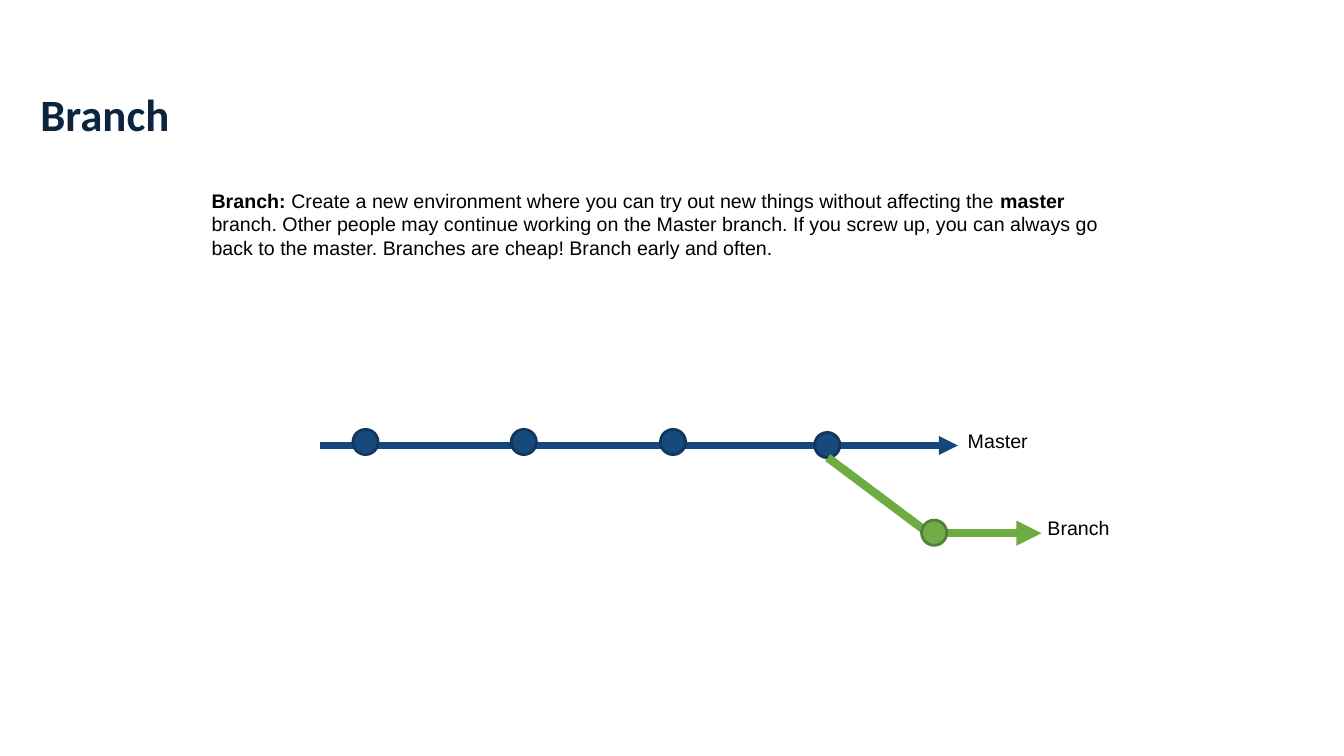
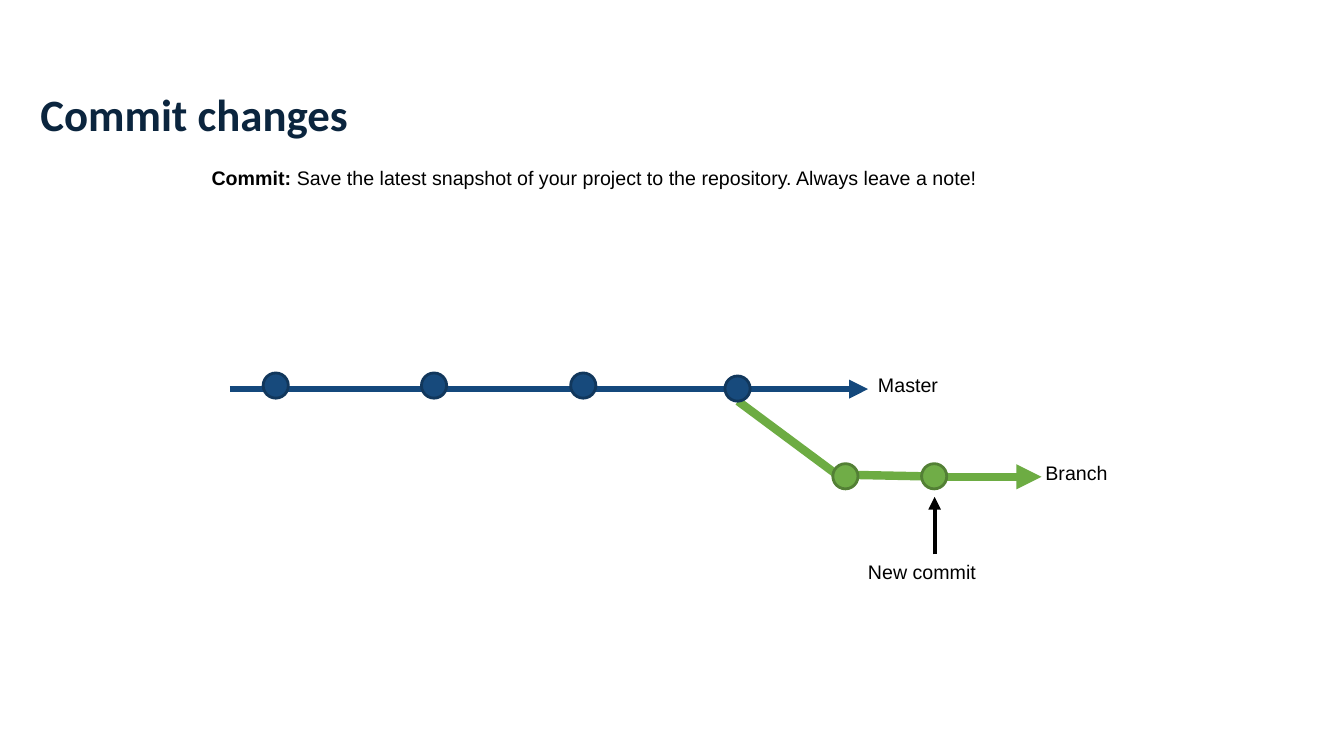
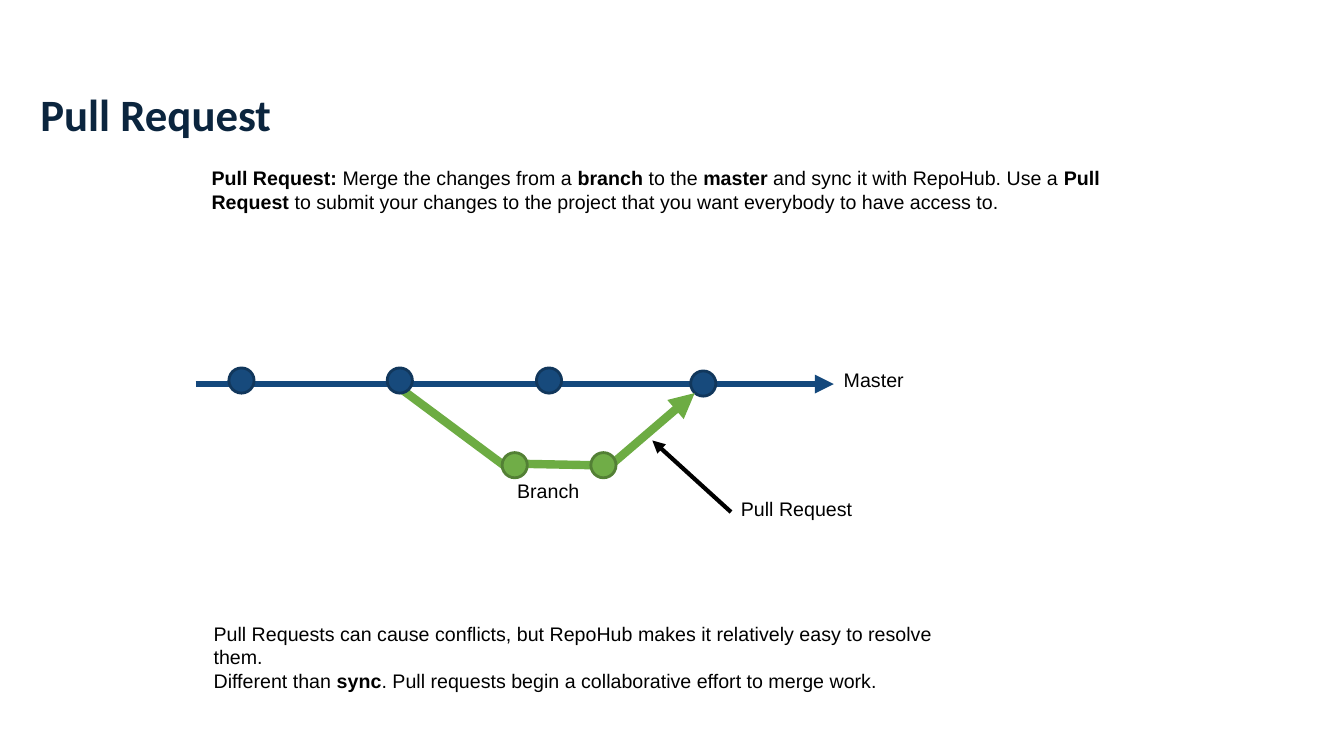
from dataclasses import dataclass
from typing import NamedTuple

from pptx import Presentation
from pptx.dml.color import RGBColor
from pptx.enum.shapes import MSO_CONNECTOR, MSO_SHAPE
from pptx.enum.text import MSO_ANCHOR, MSO_AUTO_SIZE, PP_ALIGN
from pptx.oxml.ns import qn
from pptx.util import Emu, Pt

# Shared look
OVAL = MSO_SHAPE.OVAL
STRAIGHT = MSO_CONNECTOR.STRAIGHT
LEFT = PP_ALIGN.LEFT
BOTTOM = MSO_ANCHOR.BOTTOM
GROW, FIXED = MSO_AUTO_SIZE.SHAPE_TO_FIT_TEXT, MSO_AUTO_SIZE.NONE

SCALE = 9144  # EMU per px, 100 px to the inch
COLORS = {
    "title": "0B253E",
    "text": "000000",
    "master": "14487C",
    "master_dot": "174A7C",
    "master_rim": "11375C",
    "branch": "6DAC43",
    "branch_dot": "70AD47",
    "branch_rim": "538035",
    "note": "000000",
}
WIDTHS = {"master": 4.5, "branch": 6, "note": 3}
DOT = 25

# Master track, as offsets from the start of its line
TRACK = 633
STOPS = ((33, -16), (190, -16), (338, -16), (491, -13))
TAG = (633, -21, 80, 34)


class Line(NamedTuple):
    x1: int
    y1: int
    x2: int
    y2: int
    kind: str = "branch"
    arrow: bool = False


class Label(NamedTuple):
    box: tuple[int, int, int, int]
    lines: tuple[str, ...]  # ** switches bold on and off
    wrap: bool = False


@dataclass(frozen=True)
class Scene:
    title: str
    start: tuple[int, int]
    labels: tuple[Label, ...]
    commits: tuple[tuple[int, int], ...]
    back: tuple[Line, ...] = ()
    front: tuple[Line, ...] = ()


SCENES = (
    Scene(
        "Branch",
        start=(317, 442),
        labels=(
            Label((200, 182, 908, 81), (
                "**Branch: **Create a new environment where you can try out new "
                "things without affecting the **master **branch. Other people may "
                "continue working on the Master branch. If you screw up, you can "
                "always go back to the master. Branches are cheap! Branch early "
                "and often.",
            ), wrap=True),
            Label((1029, 507, 82, 34), ("Branch",)),
        ),
        commits=((914, 516),),
        front=(
            Line(821, 454, 933, 538),
            Line(933, 529, 1033, 529, arrow=True),
        ),
    ),
    Scene(
        "Commit changes",
        start=(228, 386),
        labels=(
            Label((200, 160, 785, 34), (
                "**Commit: **Save the latest snapshot of your project to the "
                "repository. Always leave a note!",
            )),
            Label((1027, 452, 82, 34), ("Branch",)),
            Label((851, 551, 128, 34), ("New commit",)),
        ),
        commits=((826, 460), (914, 460)),
        back=(Line(732, 398, 845, 482), Line(839, 471, 939, 473)),
        front=(
            Line(933, 473, 1033, 473, arrow=True),
            Line(927, 550, 927, 493, "note", True),
        ),
    ),
    Scene(
        "Pull Request",
        start=(194, 381),
        labels=(
            Label((200, 160, 942, 57), (
                "**Pull Request: **Merge the changes from a **branch **to the "
                "**master** and sync it with RepoHub. Use a **Pull Request** to "
                "submit your changes to the project that you want everybody to "
                "have access to.",
            ), wrap=True),
            Label((725, 488, 131, 34), ("Pull Request",)),
            Label((503, 470, 82, 34), ("Branch",)),
            Label((202, 612, 769, 57), (
                "Pull Requests can cause conflicts, but RepoHub makes it "
                "relatively easy to resolve them.",
                "Different than **sync**. Pull requests begin a collaborative "
                "effort to merge work.",
            )),
        ),
        commits=((498, 449), (586, 449)),
        back=(Line(394, 383, 507, 467), Line(511, 460, 611, 462)),
        front=(
            Line(605, 462, 689, 390, arrow=True),
            Line(725, 508, 647, 437, "note", True),
        ),
    ),
)


def px(n: int) -> Emu:
    return Emu(n * SCALE)


def paint(name: str) -> RGBColor:
    return RGBColor.from_string(COLORS[name])


def write(frame, lines: tuple[str, ...], *, size: int = 14, font: str = "Arial",
          color: str = "text", bold: bool = False, space: float = 1.0) -> None:
    """Fill a text frame; ** in a line toggles bold."""
    for i, line in enumerate(lines):
        para = frame.add_paragraph() if i else frame.paragraphs[0]
        para.alignment = LEFT
        para.line_spacing = space
        for j, part in enumerate(line.split("**")):
            if part:
                run = para.add_run()
                run.text = part
                run.font.size = Pt(size)
                run.font.name = font
                run.font.bold = bold or j % 2 == 1
                run.font.color.rgb = paint(color)


def add_title(slide, text: str) -> None:
    shape = slide.shapes.title
    shape.left, shape.top, shape.width, shape.height = map(px, (40, 40, 1254, 100))
    frame = shape.text_frame
    frame.margin_left = frame.margin_right = 0
    frame.margin_top = frame.margin_bottom = 0
    frame.vertical_anchor = BOTTOM
    frame.auto_size = FIXED
    write(frame, (text,), size=32, font="Calibri", color="title", bold=True, space=0.9)


def add_label(slide, label: Label) -> None:
    frame = slide.shapes.add_textbox(*map(px, label.box)).text_frame
    frame.word_wrap = label.wrap
    frame.auto_size = GROW
    write(frame, label.lines)


def add_line(slide, line: Line) -> None:
    shape = slide.shapes.add_connector(STRAIGHT, *map(px, line[:4]))
    shape.line.color.rgb = paint(line.kind)
    shape.line.width = Pt(WIDTHS[line.kind])
    props = shape._element.spPr
    if line.arrow:
        head = props.find(qn("a:ln")).makeelement(qn("a:tailEnd"), {"type": "triangle"})
        props.find(qn("a:ln")).append(head)
    props.append(props.makeelement(qn("a:effectLst"), {}))


def add_dot(slide, x: int, y: int, kind: str) -> None:
    shape = slide.shapes.add_shape(OVAL, px(x), px(y), px(DOT), px(DOT))
    shape.shadow.inherit = False
    shape.fill.solid()
    shape.fill.fore_color.rgb = paint(f"{kind}_dot")
    shape.line.color.rgb = paint(f"{kind}_rim")
    shape.line.width = Pt(2)


def add_track(slide, x: int, y: int) -> None:
    add_line(slide, Line(x, y, x + TRACK, y, "master", True))
    for dx, dy in STOPS:
        add_dot(slide, x + dx, y + dy, "master")
    dx, dy, w, h = TAG
    add_label(slide, Label((x + dx, y + dy, w, h), ("Master",)))


def draw(slide, scene: Scene) -> None:
    add_title(slide, scene.title)
    # Links that run under the master track
    for line in scene.back:
        add_line(slide, line)
    add_track(slide, *scene.start)
    # Links and arrows over the track, then the commits on them
    for line in scene.front:
        add_line(slide, line)
    for x, y in scene.commits:
        add_dot(slide, x, y, "branch")
    for label in scene.labels:
        add_label(slide, label)


def main() -> None:
    deck = Presentation()
    deck.slide_width, deck.slide_height = px(1333), px(750)
    layout = deck.slide_layouts.get_by_name("Title Only")
    for scene in SCENES:
        draw(deck.slides.add_slide(layout), scene)
    deck.save("out.pptx")


if __name__ == "__main__":
    main()
